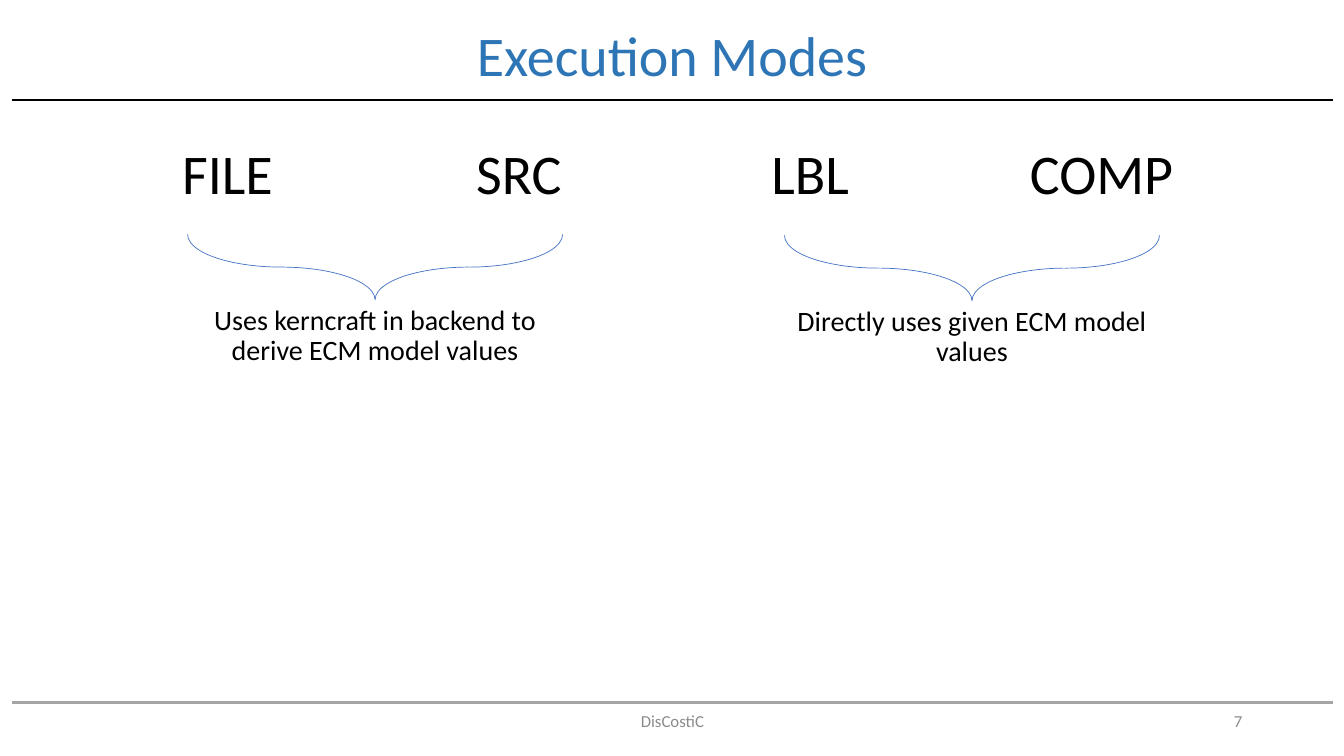
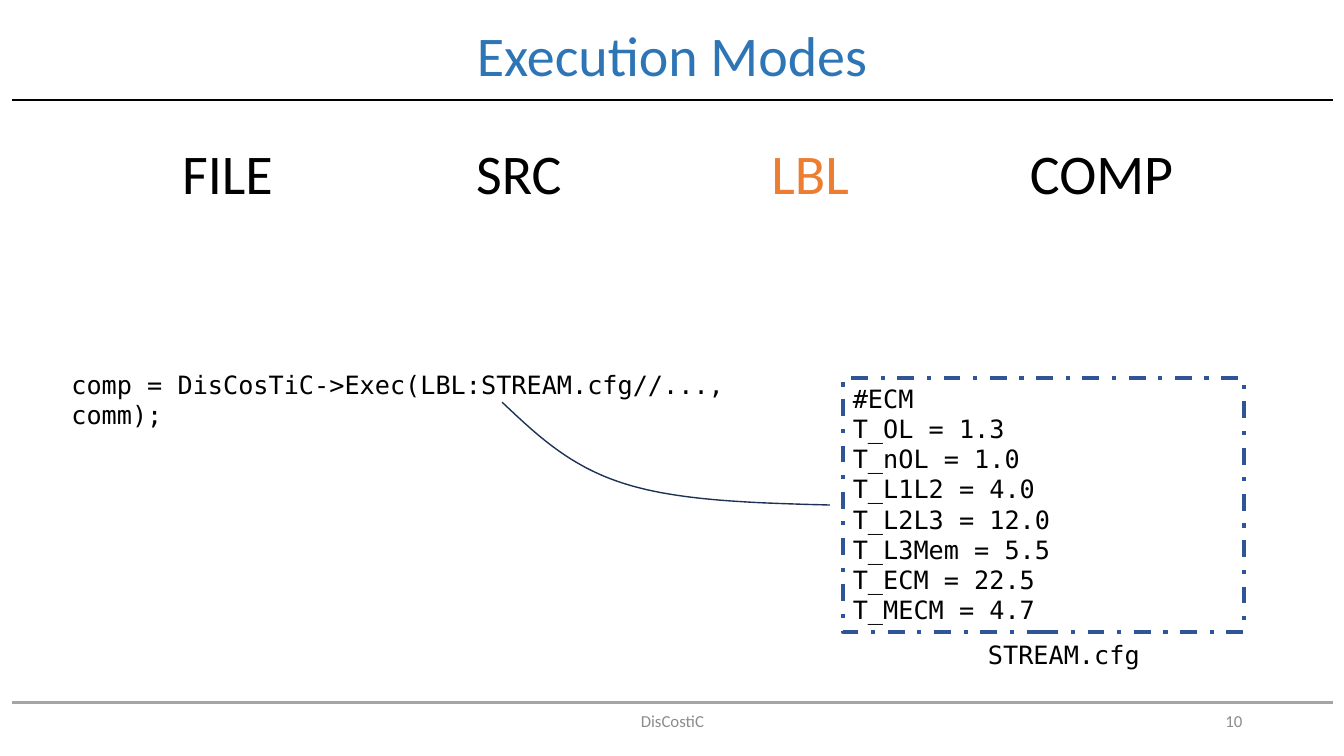
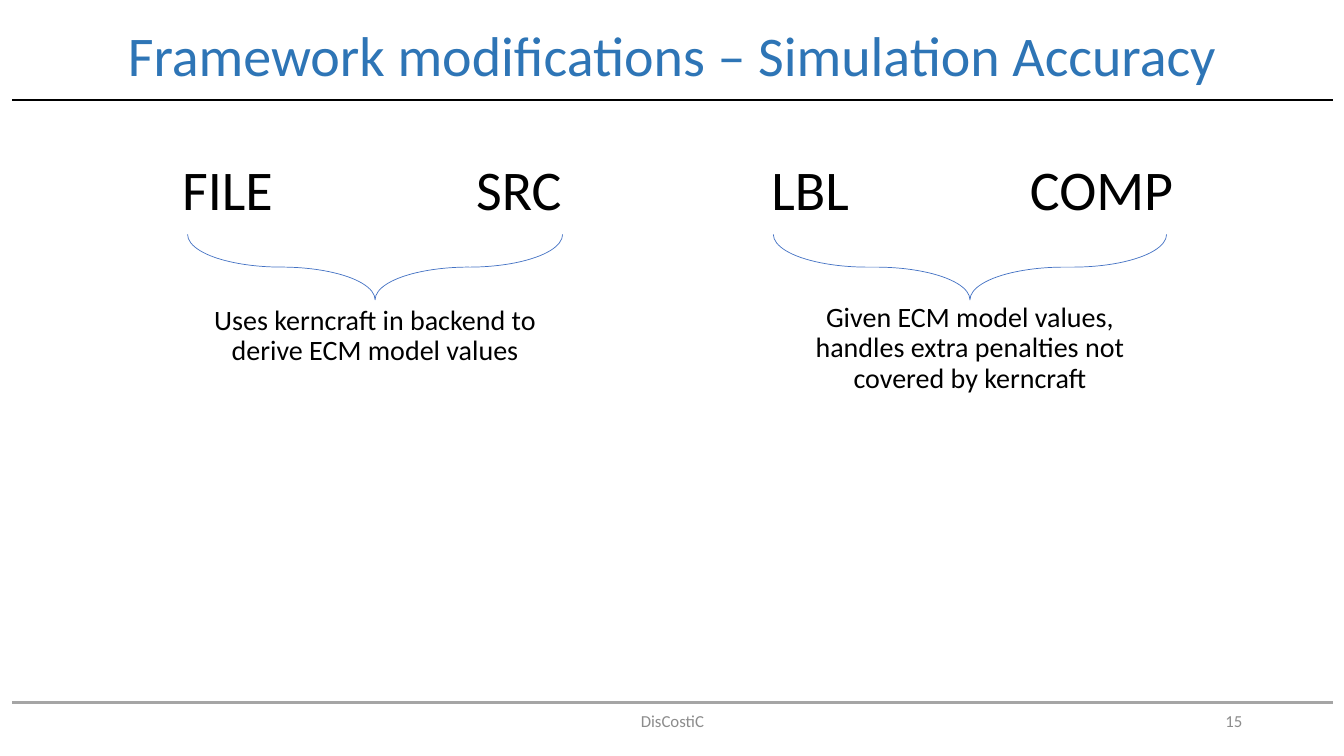
from lxml import etree
from pptx import Presentation
from pptx.dml.color import RGBColor
from pptx.enum.dml import MSO_LINE
from pptx.enum.shapes import MSO_CONNECTOR, MSO_SHAPE
from pptx.enum.text import MSO_ANCHOR as Anchor, PP_ALIGN as Align
from pptx.oxml.ns import qn
from pptx.util import Inches, Pt

COLORS = {
    "title": "2E75B6",
    "text": "000000",
    "footer": "8C8C8C",
    "footer_rule": "A5A5A5",
    "highlight": "ED7D31",
    "brace": "4472C4",
    "code_frame": "2F5597",
    "curve": "1E3256",
}
SANS, MONO = "Calibri", "DejaVu Sans Mono"
STYLES = {
    "title": {"size": 40, "color": "title", "align": Align.CENTER, "line_spacing": 0.9},
    "mode": {"size": 40, "align": Align.CENTER, "line_spacing": 0.9},
    "caption": {"size": 20, "align": Align.CENTER, "line_spacing": 0.9},
    "footer": {"size": 12, "color": "footer", "align": Align.CENTER},
    "page": {"size": 12, "color": "footer", "align": Align.RIGHT},
    "code": {"size": 18, "font": MONO, "align": Align.LEFT, "anchor": Anchor.TOP},
}
MODES = ["FILE", "SRC", "LBL", "COMP"]
KERNCRAFT_NOTE = "Uses kerncraft in backend to derive ECM model values"
STREAM_CFG = [
    "#ECM",
    "T_OL = 1.3",
    "T_nOL = 1.0",
    "T_L1L2 = 4.0",
    "T_L2L3 = 12.0",
    "T_L3Mem = 5.5",
    "T_ECM = 22.5",
    "T_MECM = 4.7",
]


def rgb(name):
    return RGBColor.from_string(COLORS[name])


def bezier(p0, p1, p2, p3, steps=24):
    """Points of a cubic curve, without its first one."""
    for step in range(1, steps + 1):
        t = step / steps
        u = 1 - t
        yield tuple(
            Inches(u**3 * a + 3 * u * u * t * b + 3 * u * t * t * c + t**3 * d)
            for a, b, c, d in zip(p0, p1, p2, p3)
        )


class Deck:
    def __init__(self):
        self.prs = Presentation()
        self.prs.slide_width, self.prs.slide_height = Inches(13.33), Inches(7.5)
        self.slide = None

    def new_slide(self, title, page):
        self.slide = self.prs.slides.add_slide(self.prs.slide_layouts[6])
        self.text(0, -0.01, 13.33, 1.17, title, "title")
        self.text(4.42, 6.95, 4.5, 0.4, "DisCostiC", "footer")
        self.text(9.42, 6.95, 3, 0.4, str(page), "page")
        self.rule(6.97, "footer_rule")
        self.rule(0.99, "text")

    def fill_frame(self, frame, lines, style, color=None):
        look = STYLES[style]
        frame.word_wrap = True
        frame.vertical_anchor = look.get("anchor", Anchor.MIDDLE)
        font_values = {"name": look.get("font", SANS), "size": Pt(look["size"])}
        paragraph_values = {
            "alignment": look["align"],
            "line_spacing": look.get("line_spacing"),
        }
        for number, line in enumerate(lines):
            paragraph = frame.add_paragraph() if number else frame.paragraphs[0]
            run = paragraph.add_run()
            run.text = line
            for target, values in ((paragraph, paragraph_values), (run.font, font_values)):
                for key, value in values.items():
                    setattr(target, key, value)
            run.font.color.rgb = rgb(color or look.get("color", "text"))

    def text(self, left, top, width, height, content, style, color=None):
        box = self.slide.shapes.add_textbox(*map(Inches, (left, top, width, height)))
        self.fill_frame(box.text_frame, [content], style, color)

    def rule(self, y, color):
        line = self.slide.shapes.add_connector(
            MSO_CONNECTOR.STRAIGHT, Inches(0.12), Inches(y), Inches(13.22), Inches(y)
        )
        line.line.color.rgb = rgb(color)
        line.line.width = Pt(1.5)
        etree.SubElement(line._element.spPr, qn("a:effectLst"))

    def outline(self, shape, color, width):
        shape.shadow.inherit = False
        shape.fill.background()
        shape.line.color.rgb = rgb(color)
        shape.line.width = Pt(width)

    def modes(self, top=1.54, active=None):
        for column, mode in enumerate(MODES):
            color = "highlight" if mode == active else "text"
            self.text(1.21 + 2.89 * column, top, 2.09, 0.41, mode, "mode", color)

    def brace(self, center, middle=2.65, span=3.72, depth=0.65):
        """A brace that points down, placed by its centre."""
        brace = self.slide.shapes.add_shape(
            MSO_SHAPE.RIGHT_BRACE,
            *map(Inches, (center - depth / 2, middle - span / 2, depth, span)),
        )
        brace.rotation = 90
        brace.adjustments[0], brace.adjustments[1] = 1.436, 0.5
        self.outline(brace, "brace", 0.5)

    def caption(self, center, middle, content, width=3.72, height=2.22):
        self.text(center - width / 2, middle - height / 2, width, height, content, "caption")

    def code_frame(self, left, top, width, height, lines):
        frame = self.slide.shapes.add_shape(
            MSO_SHAPE.RECTANGLE, *map(Inches, (left, top, width, height))
        )
        self.outline(frame, "code_frame", 3)
        frame.line.dash_style = MSO_LINE.DASH_DOT
        self.fill_frame(frame.text_frame, lines, "code")

    def curve(self, start, *segments):
        builder = self.slide.shapes.build_freeform(*map(Inches, start))
        for segment in segments:
            builder.add_line_segments(bezier(start, *segment), close=False)
            start = segment[-1]
        self.outline(builder.convert_to_shape(), "curve", 1)


def main():
    deck = Deck()

    deck.new_slide("Execution Modes", 7)
    deck.modes()
    deck.brace(3.72)
    deck.caption(3.72, 3.34, KERNCRAFT_NOTE)
    deck.brace(9.64, middle=2.66)
    deck.caption(9.64, 3.35, "Directly uses given ECM model values")

    deck.new_slide("Execution Modes", 10)
    deck.modes(active="LBL")
    deck.text(0.61, 3.61, 7.47, 0.71, "comp = DisCosTiC->Exec(LBL:STREAM.cfg//..., comm);", "code")
    deck.code_frame(8.36, 3.75, 3.98, 2.52, STREAM_CFG)
    deck.text(9.7, 6.29, 1.71, 0.4, "STREAM.cfg", "code")
    deck.curve(
        (4.98, 3.99),
        ((5.32, 4.31), (5.65, 4.63), (6.2, 4.8)),
        ((6.74, 4.97), (7.48, 4.99), (8.23, 5.01)),
    )

    deck.new_slide("Framework modifications – Simulation Accuracy", 15)
    deck.modes(top=1.7)
    deck.brace(3.72)
    deck.caption(3.72, 3.34, KERNCRAFT_NOTE)
    deck.brace(9.62, span=3.9)
    deck.caption(
        9.62,
        3.46,
        "Given ECM model values, handles extra penalties not covered by kerncraft",
        width=3.38,
        height=1.94,
    )

    deck.prs.save("out.pptx")


if __name__ == "__main__":
    main()
